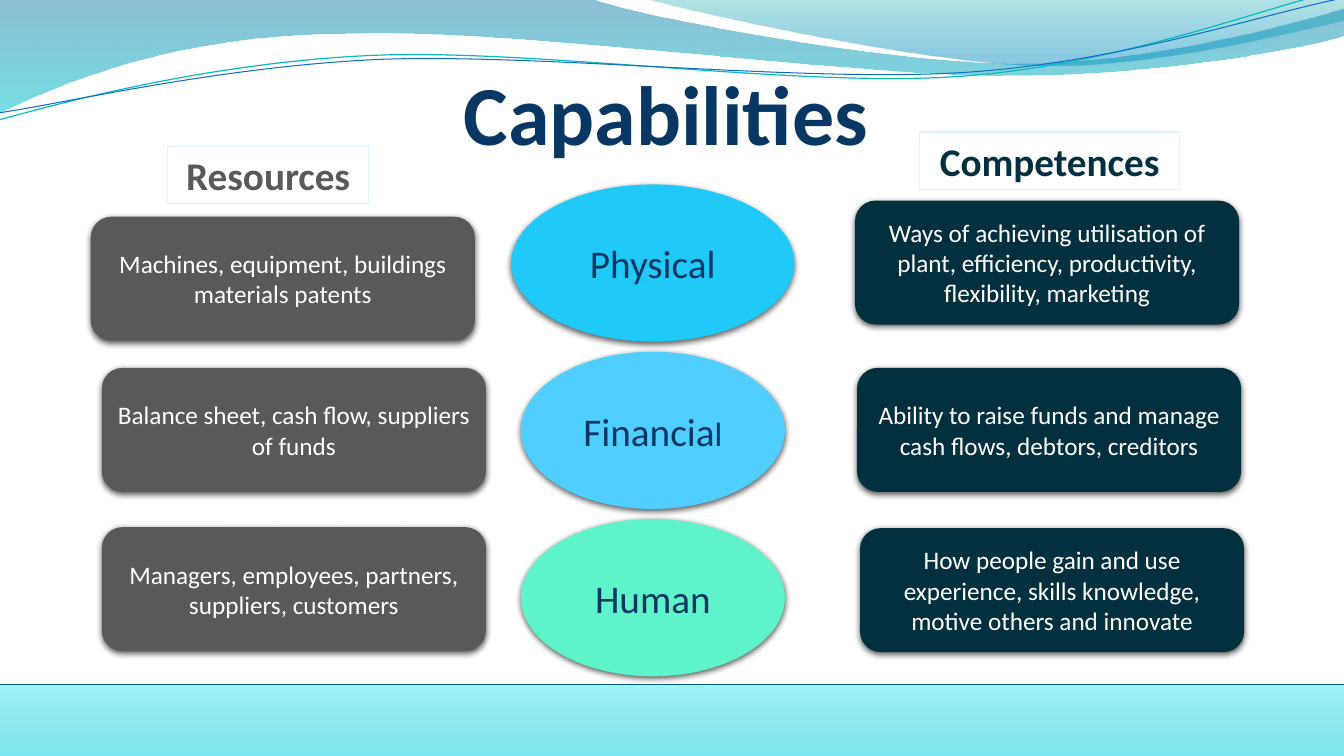
import dataclasses
import math

import pptx
import pptx.dml.color
import pptx.enum.shapes
import pptx.enum.text
import pptx.oxml
import pptx.oxml.ns
import pptx.util

Inches = pptx.util.Inches
Shape = pptx.enum.shapes.MSO_SHAPE
Anchor = pptx.enum.text.MSO_ANCHOR
qn = pptx.oxml.ns.qn
NAMESPACE = pptx.oxml.ns.nsdecls("a")


@dataclasses.dataclass(frozen=True)
class Theme:
    font: str = "Calibri"
    navy: str = "083763"
    gray: str = "595959"
    teal: str = "02303E"
    white: str = "FFFFFF"
    label_line: str = "DBF5F9"
    footer_line: str = "04617B"
    ellipses: tuple = ("20C9F8", "4FCEFF", "5FF3CA")
    back_wave: tuple = ((0, "0074A1", 45), (100, "00C6CF", 55))
    front_wave: tuple = ((0, "00A1A9", 30), (80, "008BBF", 45))
    footer: tuple = ((0, "9DF1F8", 100), (50, "90E7EE", 100), (100, "7CE9F1", 100))
    teal_curve: str = "0AB8BF"
    blue_curve: str = "0F6FC6"
    title_size: int = 60
    heading_size: int = 28
    small_heading_size: int = 24
    body_size: int = 18


@dataclasses.dataclass(frozen=True)
class Box:
    left: float
    top: float
    width: float
    height: float

    def inches(self):
        return [Inches(value) for value in dataclasses.astuple(self)]


THEME = Theme()


def rgb(color):
    return pptx.dml.color.RGBColor.from_string(color)


def set_line(shape, color, width):
    shape.line.color.rgb = rgb(color)
    shape.line.width = pptx.util.Pt(width)


def set_gradient(shape, stops):
    shape.fill.gradient()
    gradient = shape.element.spPr.find(qn("a:gradFill"))
    marks = "".join(
        f'<a:gs pos="{position * 1000}"><a:srgbClr val="{color}">'
        f'<a:alpha val="{opacity * 1000}"/></a:srgbClr></a:gs>'
        for position, color, opacity in stops
    )
    gradient.getparent().replace(gradient, pptx.oxml.parse_xml(
        f'<a:gradFill {NAMESPACE} rotWithShape="1">'
        f'<a:gsLst>{marks}</a:gsLst><a:lin ang="5400000" scaled="0"/></a:gradFill>'
    ))


def add_soft_shadow(shape):
    effects = shape.element.spPr.find(qn("a:effectLst"))
    effects.append(pptx.oxml.parse_xml(
        f'<a:outerShdw {NAMESPACE} blurRad="57150" dist="19050" '
        'dir="5400000" algn="ctr" rotWithShape="0"><a:srgbClr val="000000">'
        '<a:alpha val="63000"/></a:srgbClr></a:outerShdw>'
    ))


def write(shape, spans, color, bold=False, anchor=Anchor.MIDDLE):
    frame = shape.text_frame
    frame.word_wrap = True
    frame.vertical_anchor = anchor
    para = frame.paragraphs[0]
    para.alignment = pptx.enum.text.PP_ALIGN.CENTER
    for text, size in spans:
        span = para.add_run()
        span.text = text
        span.font.name = THEME.font
        span.font.size = pptx.util.Pt(size)
        span.font.bold = bold
        span.font.color.rgb = rgb(color)


def add_outline(slide, points, segments, close):
    points = [(Inches(x), Inches(y)) for x, y in points]
    builder = slide.shapes.build_freeform(*points[0])
    builder.add_line_segments(points[1:], close=close)
    shape = builder.convert_to_shape()
    shape.shadow.inherit = False
    steps = iter(list(shape.element.spPr.iter(qn("a:lnTo"))))
    for segment in segments:
        step = next(steps)
        if segment == "C":
            step.tag = qn("a:cubicBezTo")
            for extra in (next(steps), next(steps)):
                step.append(extra[0])
                extra.getparent().remove(extra)
    return shape


def turn(points, center, degrees):
    cosine, sine = math.cos(math.radians(degrees)), math.sin(math.radians(degrees))
    offsets = [(x - center[0], y - center[1]) for x, y in points]
    return [(center[0] + x * cosine - y * sine, center[1] + x * sine + y * cosine)
            for x, y in offsets]


def add_header(slide, box):
    def place(points):
        return [(box.left + x, box.top + y) for x, y in points]

    back = [(0, -0.01), (5.87, -0.01), (6.34, 0.17), (8.84, 0.63), (10.11, 0.63),
            (11.37, 0.63), (12.77, 0.26), (13.33, 0.09), (13.34, 0.36), (13.11, 0.44),
            (11.59, 0.76), (9.94, 0.75), (8.29, 0.75), (5.09, 0.28), (3.43, 0.34),
            (1.72, 0.35), (0.61, 0.83), (-0.02, 1.13)]
    front = [(6.39, -0.01), (6.79, 0.11), (9.09, 0.62), (10.25, 0.65),
             (11.4, 0.69), (12.81, 0.32), (13.33, 0.21), (13.33, 0)]
    for points, segments, stops in ((back, "LCCLCCC", THEME.back_wave),
                                    (front, "CCL", THEME.front_wave)):
        wave = add_outline(slide, place(points), segments, True)
        set_gradient(wave, stops)
        wave.line.fill.background()

    teal = [(-0.01, 1.19), (0.64, 1.01), (2.1, 0.62), (3.69, 0.55), (5.27, 0.48),
            (7.89, 0.87), (9.49, 0.76), (11.1, 0.65), (12.51, 0.08), (13.3, -0.1)]
    blue = [(-0.01, 1.12), (0.62, 1.03), (2.18, 0.66), (3.77, 0.59), (5.37, 0.53),
            (7.96, 0.82), (9.55, 0.72), (11.14, 0.62), (12.55, 0.13), (13.33, -0.02)]
    tilt = 2.7
    for points, center, color, width in ((teal, (6.65, 0.58), THEME.teal_curve, 0.85),
                                         (blue, (6.67, 0.59), THEME.blue_curve, 0.75)):
        curve = add_outline(slide, place(turn(points, center, tilt)), "CCC", False)
        curve.rotation = 360 - tilt
        curve.fill.background()
        set_line(curve, color, width)


def add_footer(slide, box):
    band = slide.shapes.add_shape(Shape.RECTANGLE, *box.inches())
    band.shadow.inherit = False
    set_gradient(band, THEME.footer)
    band.line.fill.background()
    level = Inches(box.top - 0.01)
    rule = slide.shapes.add_connector(
        pptx.enum.shapes.MSO_CONNECTOR.STRAIGHT,
        Inches(box.left), level, Inches(box.left + box.width), level)
    set_line(rule, THEME.footer_line, 1)
    rule.element.spPr.append(pptx.oxml.parse_xml(f'<a:effectLst {NAMESPACE}/>'))


def add_title(slide, box):
    title = slide.shapes.add_textbox(*box.inches())
    frame = title.text_frame
    frame.margin_left = frame.margin_top = frame.margin_bottom = 0
    frame.margin_right = Inches(0.02)
    write(title, [("Capabilities", THEME.title_size)], THEME.navy, True, Anchor.BOTTOM)


def add_label(slide, box, text, color):
    label = slide.shapes.add_shape(Shape.RECTANGLE, *box.inches())
    label.shadow.inherit = False
    label.fill.background()
    set_line(label, THEME.label_line, 0.75)
    write(label, [(text, THEME.heading_size)], color, True, Anchor.TOP)


def add_card(slide, kind, box, fill, spans, color):
    card = slide.shapes.add_shape(kind, *box.inches())
    card.fill.solid()
    card.fill.fore_color.rgb = rgb(fill)
    card.line.fill.background()
    card.shadow.inherit = False
    add_soft_shadow(card)
    write(card, spans, color)


def add_card_column(slide, box, fill, cards):
    for right, down, text in cards:
        place = Box(box.left + right, box.top + down, box.width, 1.23)
        add_card(slide, Shape.ROUNDED_RECTANGLE, place, fill,
                 [(text, THEME.body_size)], THEME.white)


def add_ellipse_column(slide, box):
    large, small = THEME.heading_size, THEME.small_heading_size
    names = ([("Physical", large)], [("Financia", large), ("l", small)], [("Human", large)])
    for row, (spans, fill, width) in enumerate(zip(names, THEME.ellipses, (2.81, 2.62, 2.62))):
        place = Box(box.left + (box.width - width) / 2, box.top + row * 1.66, width, 1.56)
        add_card(slide, Shape.OVAL, place, fill, spans, THEME.navy)


def main():
    deck = pptx.Presentation()
    deck.slide_width, deck.slide_height = Inches(13.33), Inches(7.5)
    slide = deck.slides.add_slide(deck.slide_layouts[6])
    add_header(slide, Box(0, 0, 13.33, 1.19))
    add_footer(slide, Box(0, 6.8, 13.33, 0.7))
    add_title(slide, Box(1.89, 0.17, 9.45, 1.44))
    add_ellipse_column(slide, Box(5.07, 1.83, 2.81, 4.88))
    add_card_column(slide, Box(0.9, 2.15, 3.81, 4.31), THEME.gray, (
        (0, 0, "Machines, equipment, buildings materials patents"),
        (0.11, 1.5, "Balance sheet, cash flow, suppliers of funds"),
        (0.11, 3.08, "Managers, employees, partners, suppliers, customers")))
    add_card_column(slide, Box(8.48, 1.99, 3.81, 4.48), THEME.teal, (
        (0, 0, "Ways of achieving utilisation of plant, efficiency, productivity, flexibility, marketing"),
        (0.02, 1.66, "Ability to raise funds and manage cash flows, debtors, creditors"),
        (0.05, 3.25, "How people gain and use experience, skills knowledge, motive others and innovate")))
    add_label(slide, Box(1.66, 1.45, 2, 0.57), "Resources", THEME.gray)
    add_label(slide, Box(9.12, 1.31, 2.58, 0.57), "Competences", THEME.teal)
    deck.save("out.pptx")


if __name__ == "__main__":
    main()
